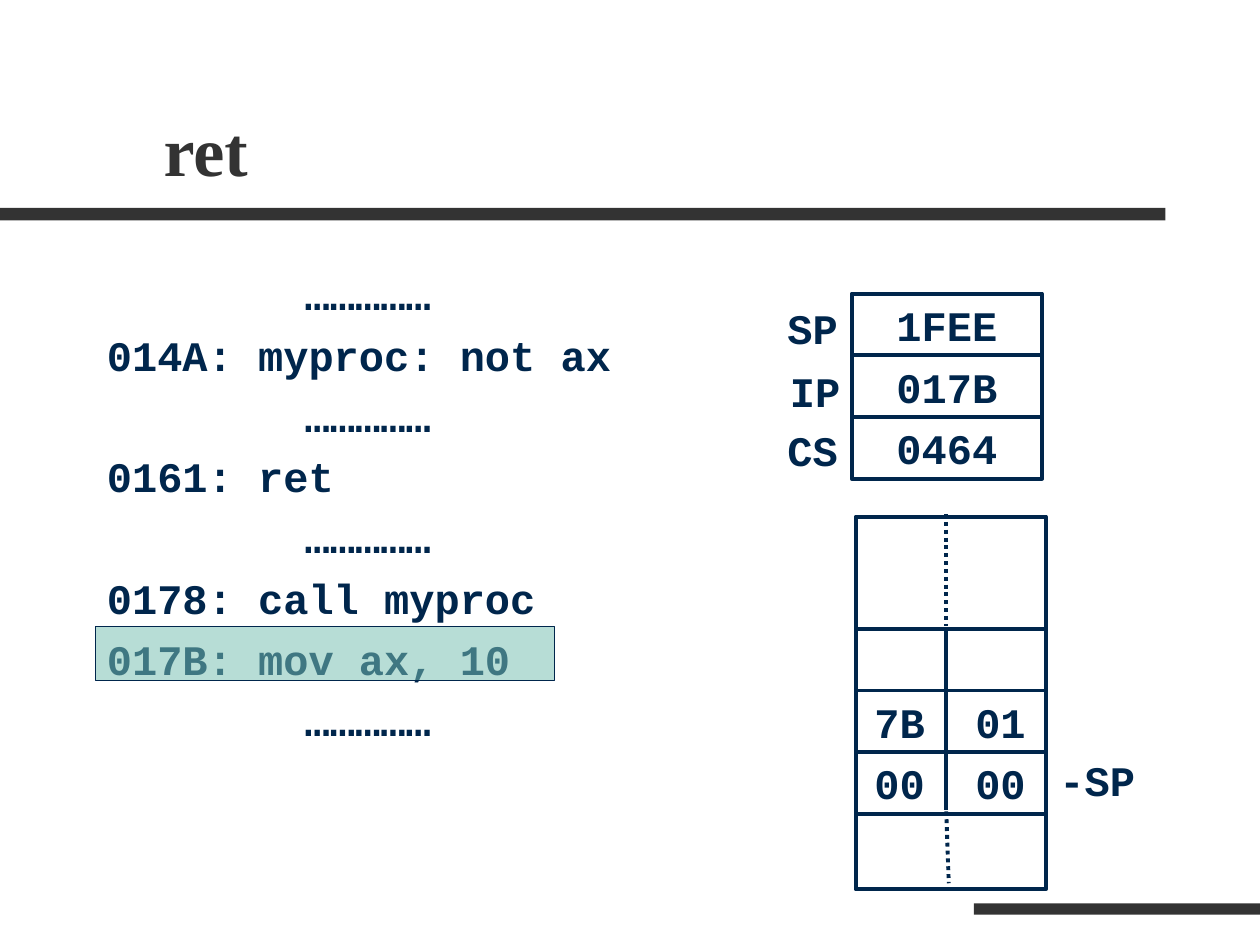
import dataclasses
import typing

import lxml.etree
import pptx
import pptx.dml.color
import pptx.enum.dml
import pptx.enum.shapes
import pptx.enum.text
import pptx.oxml.ns
import pptx.util

RGB = pptx.dml.color.RGBColor
NAVY = RGB(0x00, 0x26, 0x4C)
GREY = RGB(0x33, 0x33, 0x33)
TEAL = RGB(0x78, 0xC0, 0xB2)

ANCHOR = pptx.enum.text.MSO_ANCHOR
ALIGN = pptx.enum.text.PP_ALIGN
DASH = pptx.enum.dml.MSO_LINE
qn = pptx.oxml.ns.qn

WIDE = pptx.util.Inches(10)
HIGH = pptx.util.Inches(7.5)
COL = WIDE / 10
ROW = HIGH / 7.5
CELL_W = 1.51
CELL_H = 0.49
REG_X, REG_Y = 6.76, 2.33
MEM_X, MEM_Y = 6.79, 4.99
MID = 7.51
DOTS = "……………"


@dataclasses.dataclass(frozen=True)
class Box:
    x: float
    y: float
    w: float
    h: float

    def place(self) -> tuple[int, ...]:
        return (round(self.x * COL), round(self.y * ROW),
                round(self.w * COL), round(self.h * ROW))


@dataclasses.dataclass(frozen=True)
class Rule:
    top: tuple[float, float]
    end: tuple[float, float]
    dash: typing.Any = None


def put_text(shape, text: str, *, font: str = "Courier New", size: float = 24,
             color: RGB = NAVY, anchor=ANCHOR.TOP, align=ALIGN.LEFT,
             wrap: bool = True, left: float = 0.1, gap: float = 0,
             hang: float = 0, inset: float = 0, tab: float = 0) -> None:
    frame = shape.text_frame
    frame.word_wrap = wrap
    frame.vertical_anchor = anchor
    frame.margin_left = round(left * COL)
    frame.margin_right = round(0.1 * COL)
    frame.margin_top = frame.margin_bottom = round(0.05 * ROW)
    for i, line in enumerate(text.split("\n")):
        para = frame.paragraphs[0] if i == 0 else frame.add_paragraph()
        para.text = line
        para.alignment = align
        if i and gap:
            para.space_before = pptx.util.Pt(gap)
        props = para._p.get_or_add_pPr()
        if line == DOTS:
            props.set("marL", str(round(inset * COL)))
        elif hang:
            props.set("marL", str(round(hang * COL)))
            props.set("indent", str(round(-hang * COL)))
        if tab:
            stops = lxml.etree.SubElement(props, qn("a:tabLst"))
            lxml.etree.SubElement(stops, qn("a:tab"),
                                  pos=str(round(tab * COL)), algn="l")
        para.font.name = font
        para.font.size = pptx.util.Pt(size)
        para.font.bold = True
        para.font.color.rgb = color


def add_label(slide, box: Box, text: str, **form) -> None:
    put_text(slide.shapes.add_textbox(*box.place()), text, **form)


def add_rect(slide, box: Box, fill: RGB | None = None,
             line: float = 0, alpha: int = 100):
    kind = pptx.enum.shapes.MSO_SHAPE.RECTANGLE
    shape = slide.shapes.add_shape(kind, *box.place())
    shape.shadow.inherit = False
    if fill is None:
        shape.fill.background()
    else:
        shape.fill.solid()
        shape.fill.fore_color.rgb = fill
    if alpha < 100:
        tint = shape.fill._xPr.find(qn("a:solidFill"))[0]
        lxml.etree.SubElement(tint, qn("a:alpha"), val=str(alpha * 1000))
    if line:
        shape.line.color.rgb = NAVY
        shape.line.width = pptx.util.Pt(line)
    else:
        shape.line.fill.background()
    return shape


def add_rule(slide, rule: Rule) -> None:
    ends = [round(x * unit) for point in (rule.top, rule.end)
            for x, unit in zip(point, (COL, ROW))]
    kind = pptx.enum.shapes.MSO_CONNECTOR.STRAIGHT
    line = slide.shapes.add_connector(kind, *ends)
    line.line.color.rgb = NAVY
    line.line.width = pptx.util.Pt(2.25)
    if rule.dash:
        line.line.dash_style = rule.dash
    lxml.etree.SubElement(line._element.spPr, qn("a:effectLst"))


def main() -> None:
    deck = pptx.Presentation()
    deck.slide_width, deck.slide_height = WIDE, HIGH
    slide = deck.slides.add_slide(deck.slide_layouts[6])

    add_rect(slide, Box(0, 1.65, 9.25, 0.1), GREY)
    add_rect(slide, Box(7.73, 7.17, 2.27, 0.09), GREY)
    add_label(slide, Box(1.2, 0.31, 8.5, 1.25), "ret",
              font="Times New Roman", size=40, color=GREY,
              anchor=ANCHOR.BOTTOM)

    code = [DOTS, "014A: myproc: not ax", DOTS, "0161: ret", DOTS,
            "0178: call myproc", "017B: mov ax, 10", DOTS]
    add_label(slide, Box(0.75, 2.08, 8.36, 5.1), "\n".join(code),
              gap=6, hang=0.38, inset=1.57)

    for i, value in enumerate(("1FEE", "017B", "0464")):
        cell = add_rect(slide, Box(REG_X, REG_Y + i * CELL_H, CELL_W, CELL_H),
                        line=2.25)
        put_text(cell, value, anchor=ANCHOR.MIDDLE, align=ALIGN.CENTER,
                 wrap=False)

    for name, x, y, w in (("SP", 6.15, 2.35, 0.68), ("IP", 6.17, 2.85, 0.68),
                          ("CS", 6.15, 3.32, 0.68), ("-SP", 8.31, 5.94, 0.83)):
        add_label(slide, Box(x, y, w, 0.5), name)

    add_rect(slide, Box(MEM_X, 4.1, CELL_W, 2.96), line=2.25)
    for i, pair in enumerate(("", "7B\t01", "00\t00")):
        cell = add_rect(slide, Box(MEM_X, MEM_Y + i * CELL_H, CELL_W, CELL_H),
                        line=2.25)
        if pair:
            put_text(cell, pair, anchor=ANCHOR.MIDDLE, left=0.15, tab=0.8)

    for rule in (Rule((MID, 4.99), (MID, 6.43)),
                 Rule((MID, 4.08), (MID, 4.97), DASH.ROUND_DOT),
                 Rule((MID, 6.44), (7.53, 7.01), DASH.ROUND_DOT)):
        add_rule(slide, rule)

    add_rect(slide, Box(0.76, 4.97, 3.64, 0.43), TEAL, 0.75, 53)
    deck.save("out.pptx")


if __name__ == "__main__":
    main()
